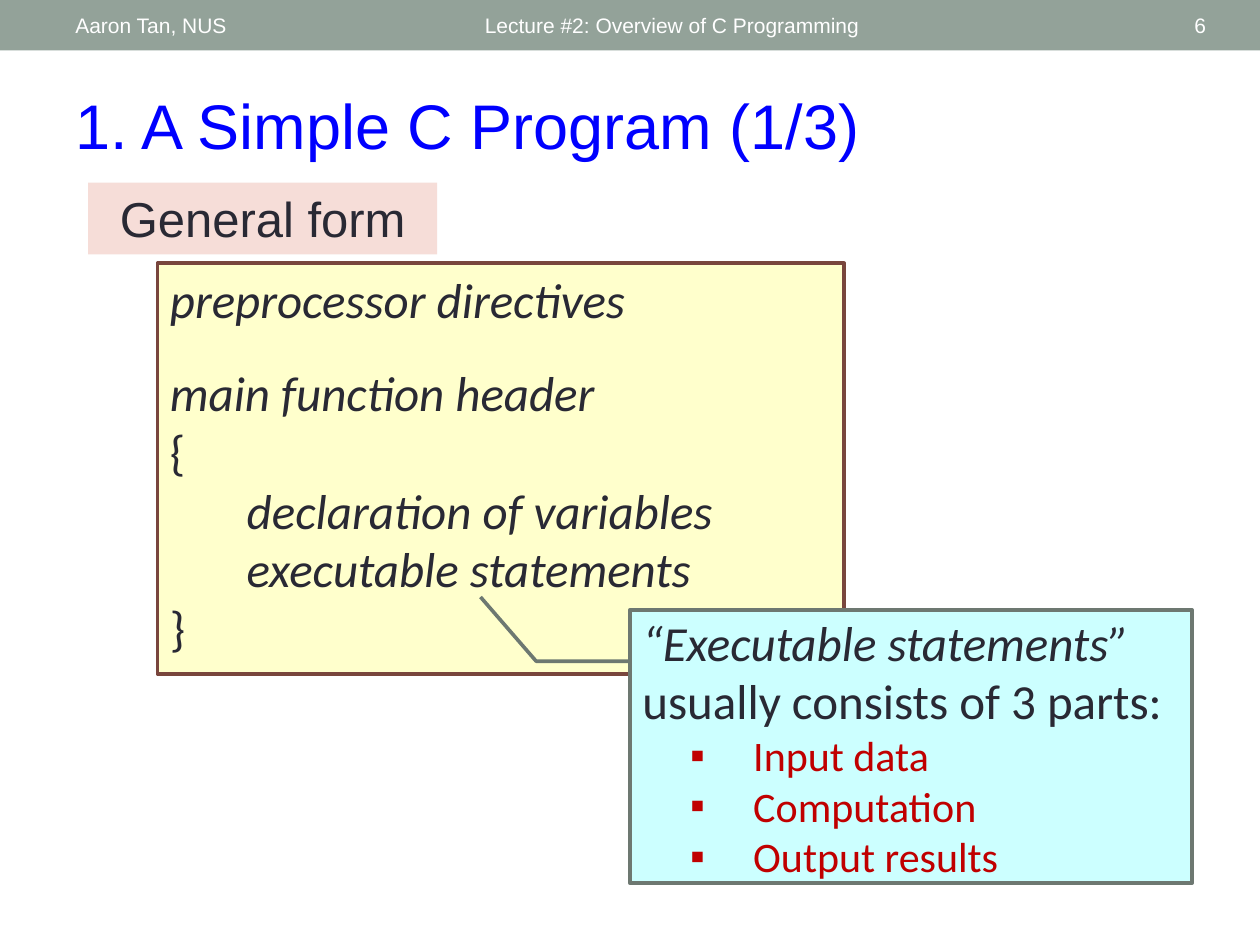
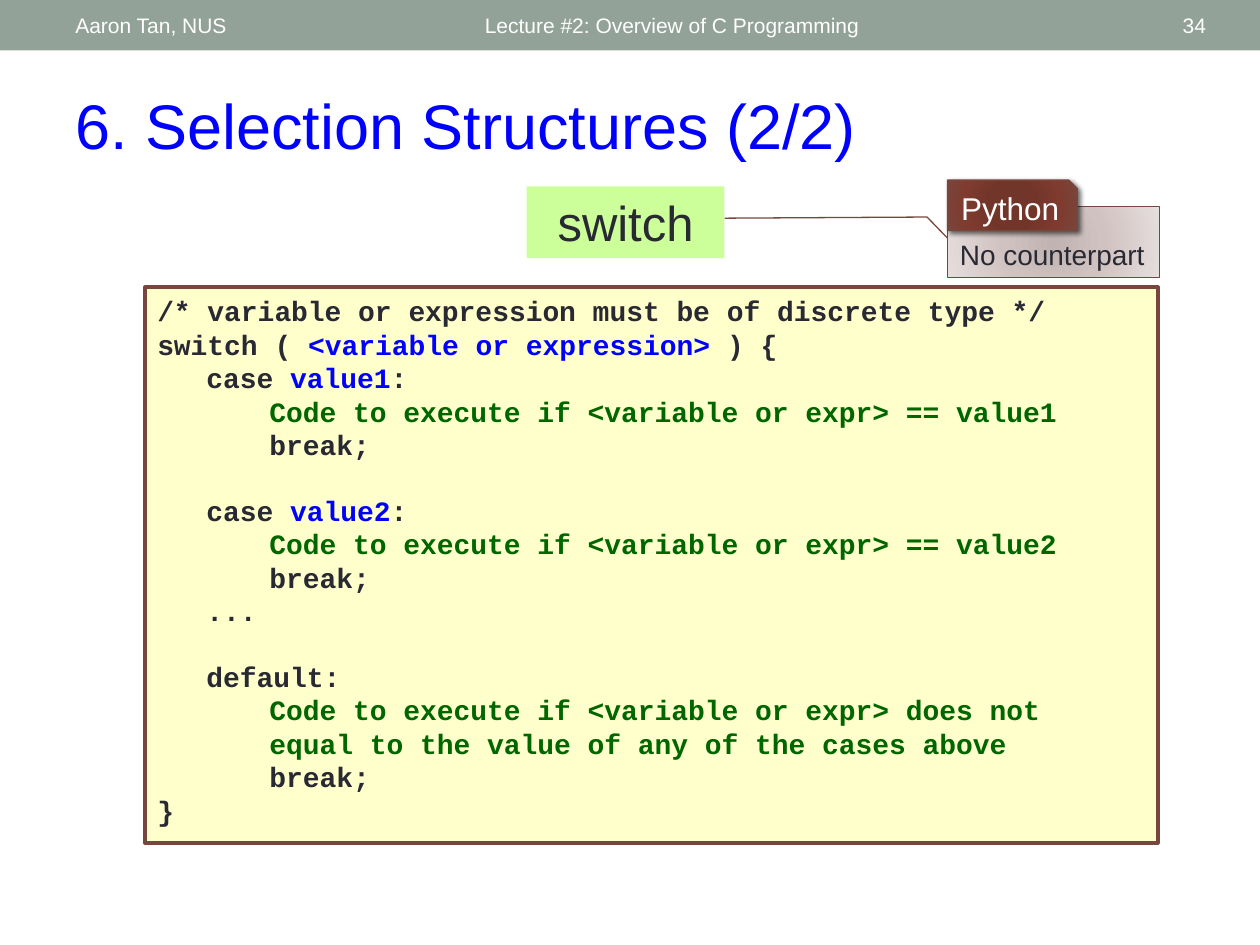
from dataclasses import dataclass
from lxml.etree import SubElement
from pptx import Presentation
from pptx.dml.color import RGBColor
from pptx.enum.shapes import MSO_SHAPE
from pptx.enum.text import MSO_ANCHOR, PP_ALIGN
from pptx.oxml import parse_xml
from pptx.oxml.ns import nsdecls, qn
from pptx.util import Inches, Pt


@dataclass(frozen=True)
class Theme:
    white: str = "FFFFFF"
    ink: str = "292934"
    band: str = "93A299"
    blue: str = "0000FF"
    green: str = "006600"
    red: str = "C00000"
    brown: str = "79463D"
    gray: str = "6D7871"
    cream: str = "FFFFCC"
    aqua: str = "CCFFFF"
    pink: str = "F6DDD8"
    lime: str = "CCFF99"
    pale: tuple = ((0, "C0B3B1"), (45, "D0C2C0"), (100, "E5DEDD"))
    dark: tuple = ((0, "743327"), (34, "72352A"), (70, "7F3B2F"), (100, "79463D"))
    sans: str = "Arial"
    body: str = "Calibri"
    mono: str = "Courier New"
    title: int = 36
    head: int = 28
    item: int = 24
    label: int = 18
    code: int = 16
    foot: int = 12
    thick: float = 2.08
    thin: float = 0.75


T = Theme()
TOP, MID, LOW = MSO_ANCHOR.TOP, MSO_ANCHOR.MIDDLE, MSO_ANCHOR.BOTTOM


# Shared drawing helpers
def style(font, size, name, color, bold=None, italic=None):
    font.size, font.name = Pt(size), name
    font.bold, font.italic = bold, italic
    font.color.rgb = RGBColor.from_string(color)


def blend(shape, stops):
    """Fill a shape with a circular gradient."""
    marks = "".join(
        f'<a:gs pos="{pos * 1000}"><a:srgbClr val="{color}"/></a:gs>'
        for pos, color in stops)
    grad = parse_xml(
        f'<a:gradFill {nsdecls("a")} rotWithShape="1"><a:gsLst>{marks}</a:gsLst>'
        '<a:path path="circle"><a:fillToRect l="100000" t="100000" r="100000"'
        ' b="100000"/></a:path></a:gradFill>')
    shape.fill.background()
    props = shape._element.spPr
    props.replace(props.find(qn("a:noFill")), grad)


def shade(shape):
    """Give a shape a soft shadow to the lower right."""
    group = shape._element.spPr.find(qn("a:effectLst"))
    cast = SubElement(group, qn("a:outerShdw"), blurRad=str(Pt(3)),
                      dist=str(Pt(2)), dir="2700000", rotWithShape="0")
    tint = SubElement(cast, qn("a:srgbClr"), val="000000")
    SubElement(tint, qn("a:alpha"), val="60000")


def frame(shape, anchor):
    text = shape.text_frame
    text.word_wrap = True
    text.vertical_anchor = anchor
    return text


def block(slide, box, fill, line=None, width=T.thick, kind=MSO_SHAPE.RECTANGLE,
          adjust=()):
    shape = slide.shapes.add_shape(kind, *map(Inches, box))
    shape.shadow.inherit = False
    for index, value in enumerate(adjust):
        shape.adjustments[index] = value
    if isinstance(fill, tuple):
        blend(shape, fill)
    else:
        shape.fill.solid()
        shape.fill.fore_color.rgb = RGBColor.from_string(fill)
    if line:
        shape.line.color.rgb = RGBColor.from_string(line)
        shape.line.width = Pt(width)
    else:
        shape.line.fill.background()
    return shape


def write(shape, text, size, color, align=PP_ALIGN.LEFT, anchor=MID):
    para = frame(shape, anchor).paragraphs[0]
    para.text, para.alignment = text, align
    style(para.font, size, T.sans, color)


def label(slide, box, text, size, color, align=PP_ALIGN.LEFT, anchor=MID):
    write(slide.shapes.add_textbox(*map(Inches, box)),
          text, size, color, align, anchor)


def rows(text):
    """Yield the first paragraph, then new ones."""
    yield text.paragraphs[0]
    while True:
        yield text.add_paragraph()


def inset(para, left, hang=0):
    props = para._p.get_or_add_pPr()
    props.set("marL", str(Inches(left)))
    props.set("indent", str(Inches(-hang)))
    return props


# Slide base: band, footers and title
def base(deck, title, number):
    slide = deck.slides.add_slide(deck.slide_layouts[6])
    block(slide, (0, 0, 10, 0.4), T.band)
    for x, w, text, align in (
            (3.75, 4.5, "Lecture #2: Overview of C Programming", PP_ALIGN.LEFT),
            (0.5, 3.17, "Aaron Tan, NUS", PP_ALIGN.LEFT),
            (8.72, 0.95, str(number), PP_ALIGN.RIGHT)):
        label(slide, (x, 0.02, w, 0.36), text, T.foot, T.white, align)
    label(slide, (0.5, 0.64, 9, 0.71), title, T.title, T.blue, anchor=TOP)
    return slide


def topic(slide, box, text, fill):
    write(block(slide, box, fill), text, T.head, T.ink, PP_ALIGN.CENTER, TOP)


# General form of a program: (indent, text, italic, space before)
def form(slide, box):
    lines = ((0, "preprocessor directives", True, 0),
             (0, "main function header", True, 19.5),
             (0, "{", False, 0),
             (0.61, "declaration of variables", True, 0),
             (0.61, "executable statements", True, 0),
             (0, "}", False, 0))
    text = frame(block(slide, box, T.cream, T.brown), TOP)
    for para, (left, words, slant, gap) in zip(rows(text), lines):
        para.text, para.alignment = words, PP_ALIGN.LEFT
        para.space_before = Pt(gap)
        inset(para, left)
        style(para.font, T.head, T.body, T.ink, italic=slant)


# Callout on the parts of the executable statements
def parts(slide, box):
    shape = block(slide, box, T.aqua, T.gray, kind=MSO_SHAPE.LINE_CALLOUT_2,
                  adjust=(0.188, 0.001, 0.188, -0.167, -0.047, -0.266))
    text = frame(shape, MID)
    lead = text.paragraphs[0]
    lead.alignment = PP_ALIGN.LEFT
    style(lead.font, T.head, T.body, T.ink)
    for words, slant in (("“Executable statements” ", True),
                         ("usually consists of 3 parts:", False)):
        run = lead.add_run()
        run.text, run.font.italic = words, slant
    for words in ("Input data", "Computation", "Output results"):
        para = text.add_paragraph()
        para.text, para.alignment = words, PP_ALIGN.LEFT
        props = inset(para, 0.88, 0.5)
        SubElement(props, qn("a:buFont"), typeface="Arial")
        SubElement(props, qn("a:buChar"), char="▪")
        style(para.font, T.item, T.body, T.red)


# Code panel: each line is (level, (text, colour), ...); None leaves a gap
def code(slide, box, lines):
    text = frame(block(slide, box, T.cream, T.brown), TOP)
    fresh = rows(text)
    gap = 0
    for line in lines:
        if line is None:
            gap = 18.1
            continue
        level, *spans = line
        para = next(fresh)
        para.alignment, para.space_before = PP_ALIGN.LEFT, Pt(gap)
        gap = 0
        inset(para, (0, 0.39, 0.89)[level])
        style(para.font, T.code, T.mono, spans[0][1], bold=True)
        for words, color in spans:
            run = para.add_run()
            run.text = words
            if color != spans[0][1]:
                run.font.color.rgb = RGBColor.from_string(color)


# Comparison note with a tab on its upper left corner
def note(slide, box, name, words):
    x, y, w, h = box
    body = block(slide, box, T.pale, T.brown, T.thin, MSO_SHAPE.LINE_CALLOUT_2,
                 (0.444, -0.001, 0.148, -0.097, 0.164, -1.053))
    write(body, words, T.code, T.ink, anchor=LOW)
    tab = block(slide, (x, y - 0.21, 1.03, 0.4), T.dark, T.brown, T.thin,
                MSO_SHAPE.SNIP_1_RECTANGLE)
    shade(tab)
    write(tab, name, T.label, T.white, PP_ALIGN.CENTER)


def case(name):
    return ((1, ("case ", T.ink), (name, T.blue), (":", T.ink)),
            (2, (f"Code to execute if <variable or expr> == {name}", T.green)),
            STOP)


STOP = (2, ("break;", T.ink))
SWITCH = (
    (0, ("/* variable or expression must be of discrete type */", T.ink)),
    (0, ("switch ( ", T.ink), ("<variable or expression>", T.blue),
     (" ) {", T.ink)),
    *case("value1"), None,
    *case("value2"),
    (1, ("...", T.ink)), None,
    (1, ("default:", T.ink)),
    (2, ("Code to execute if <variable or expr> does not", T.green)),
    (2, ("equal to the value of any of the cases above", T.green)),
    STOP,
    (0, ("}", T.ink)))

deck = Presentation()
deck.slide_width, deck.slide_height = Inches(10), Inches(7.5)

# Simple program
slide = base(deck, "1. A Simple C Program (1/3)", 6)
topic(slide, (0.7, 1.45, 2.77, 0.57), "General form", T.pink)
form(slide, (1.25, 2.09, 5.45, 3.26))
parts(slide, (5, 4.84, 4.46, 2.17))

# Selection structures
slide = base(deck, "6. Selection Structures (2/2)", 34)
topic(slide, (4.18, 1.48, 1.57, 0.57), "switch", T.lime)
code(slide, (1.15, 2.28, 8.04, 4.41), SWITCH)
note(slide, (7.52, 1.64, 1.68, 0.56), "Python", "No counterpart")

deck.save("out.pptx")
